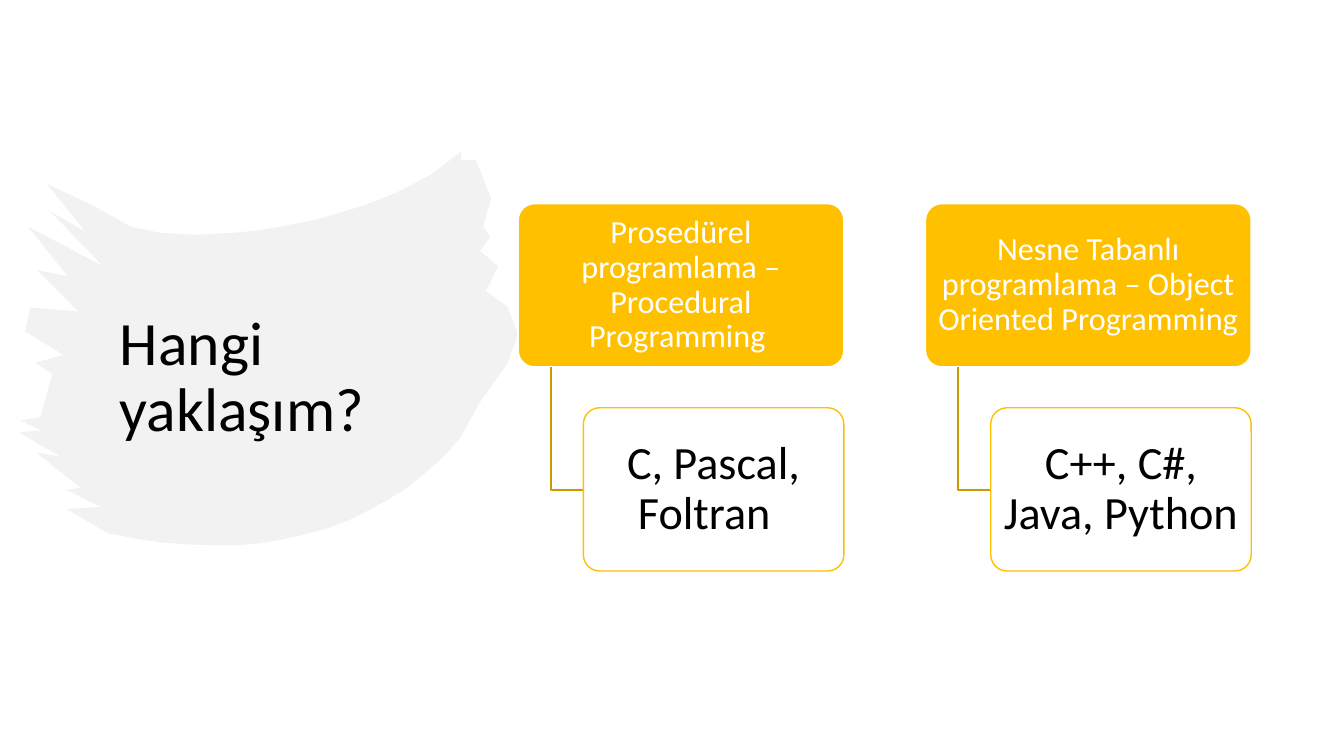
import lxml.etree
import pptx
import pptx.dml.color
import pptx.enum.shapes
import pptx.enum.text
import pptx.oxml.ns
import pptx.util

Inches = pptx.util.Inches
FONT = "Calibri"
GOLD, DARK_GOLD, WHITE, BLACK, GREY = "FFC000", "CC9A00", "FFFFFF", "000000", "E7E6E6"

# Brush stroke, clockwise, in hundredths of an inch: ragged ends and smooth curves
RIGHT_END = [
    (458, 150), (457, 159), (472, 159), (487, 197), (479, 225), (486, 235), (476, 249),
    (494, 264), (482, 289), (503, 304), (514, 332), (503, 361), (476, 399),
]
BOTTOM_CURVE = [(456, 435), (372, 533), (249, 560), (107, 529)]
LEFT_END = [
    (66, 505), (100, 503), (66, 486), (80, 484), (36, 449), (60, 453), (19, 429), (41, 427),
    (20, 417), (40, 414), (52, 371), (35, 360), (63, 352), (25, 329), (30, 305), (78, 309),
    (37, 268), (67, 274), (28, 225), (102, 264), (50, 210), (85, 230), (46, 182), (94, 205),
]
TOP_CURVE = [(130, 225), (200, 245), (340, 225), (428, 173)]

APPROACHES = [
    ("Prosedürel programlama – Procedural Programming ", "C, Pascal, Foltran\t"),
    ("Nesne Tabanlı programlama – Object Oriented Programming ", "C++, C#, Java, Python"),
]


def color(value):
    return pptx.dml.color.RGBColor.from_string(value)


def trace_curve(controls, steps=16):
    """Return points along the cubic curve with four control points."""
    points = []
    for step in range(steps + 1):
        t = step / steps
        weights = ((1 - t) ** 3, 3 * t * (1 - t) ** 2, 3 * t ** 2 * (1 - t), t ** 3)
        points.append(tuple(
            round(sum(weight * value for weight, value in zip(weights, values)))
            for values in zip(*controls)
        ))
    return points


def write_text(box, text, size, text_color, align, inset_x, inset_y):
    frame = box.text_frame
    frame.word_wrap = True
    frame.vertical_anchor = pptx.enum.text.MSO_ANCHOR.MIDDLE
    frame.margin_left = frame.margin_right = Inches(inset_x)
    frame.margin_top = frame.margin_bottom = Inches(inset_y)
    para = frame.paragraphs[0]
    para.text = text
    para.alignment = align
    para.line_spacing = 0.9
    para.font.name = FONT
    para.font.size = pptx.util.Pt(size)
    para.font.color.rgb = color(text_color)


def add_outline(page, left, top, points, closed):
    """Draw points, in hundredths of an inch, with their top left corner at left, top."""
    unit = Inches(0.01)
    builder = page.shapes.build_freeform(*points[0], scale=unit)
    builder.add_line_segments(points[1:], close=closed)
    shape = builder.convert_to_shape(
        Inches(left) - min(x for x, y in points) * unit,
        Inches(top) - min(y for x, y in points) * unit,
    )
    shape.shadow.inherit = False
    return shape


def add_brush(page, left, top):
    points = RIGHT_END + trace_curve(BOTTOM_CURVE) + LEFT_END + trace_curve(TOP_CURVE)
    brush = add_outline(page, left, top, points, True)
    brush.fill.solid()
    brush.fill.fore_color.rgb = color(GREY)
    brush.line.fill.background()
    # Half transparent
    fill_color = brush.element.spPr.find(".//" + pptx.oxml.ns.qn("a:srgbClr"))
    lxml.etree.SubElement(fill_color, pptx.oxml.ns.qn("a:alpha"), val="50000")


def add_title(page, left, top, width, height):
    box = page.shapes.add_textbox(Inches(left), Inches(top), Inches(width), Inches(height))
    write_text(box, "Hangi yaklaşım?", 44, BLACK, pptx.enum.text.PP_ALIGN.LEFT, 0.1, 0.05)


def add_card(page, left, top, width, height, fill, line):
    card = page.shapes.add_shape(
        pptx.enum.shapes.MSO_SHAPE.ROUNDED_RECTANGLE,
        Inches(left), Inches(top), Inches(width), Inches(height),
    )
    card.adjustments[0] = 0.1
    card.shadow.inherit = False
    card.fill.solid()
    card.fill.fore_color.rgb = color(fill)
    card.line.color.rgb = color(line)
    card.line.width = pptx.util.Pt(1)
    return card


def add_approach(page, left, top, width, height, name, languages):
    """Place a heading card, and a card of languages that hangs from it."""
    center = pptx.enum.text.PP_ALIGN.CENTER
    heading = add_card(page, left, top, width, height, GOLD, WHITE)
    write_text(heading, name, 23, WHITE, center, 0.05, 0.03)

    # Elbow line, from the heading to the middle of the languages
    indent, gap = width / 10, height / 4
    drop = gap + height / 2
    elbow = [(0, 0), (0, round(drop * 100)), (round(indent * 100), round(drop * 100))]
    branch = add_outline(page, left + indent, top + height, elbow, False)
    branch.fill.background()
    branch.line.color.rgb = color(DARK_GOLD)
    branch.line.width = pptx.util.Pt(1)

    child = add_card(page, left + 2 * indent, top + height + gap, width * 0.8, height, WHITE, GOLD)
    write_text(child, languages, 33, BLACK, center, 0.07, 0.05)


def main():
    deck = pptx.Presentation()
    deck.slide_width, deck.slide_height = Inches(13.33), Inches(7.5)
    page = deck.slides.add_slide(deck.slide_layouts[6])
    add_brush(page, 0.19, 1.5)
    add_title(page, 1.09, 0.75, 3.82, 6.01)
    for column, (name, languages) in enumerate(APPROACHES):
        add_approach(page, 5.14 + 4.04 * column, 2.02, 3.23, 1.62, name, languages)
    deck.save("out.pptx")


if __name__ == "__main__":
    main()
